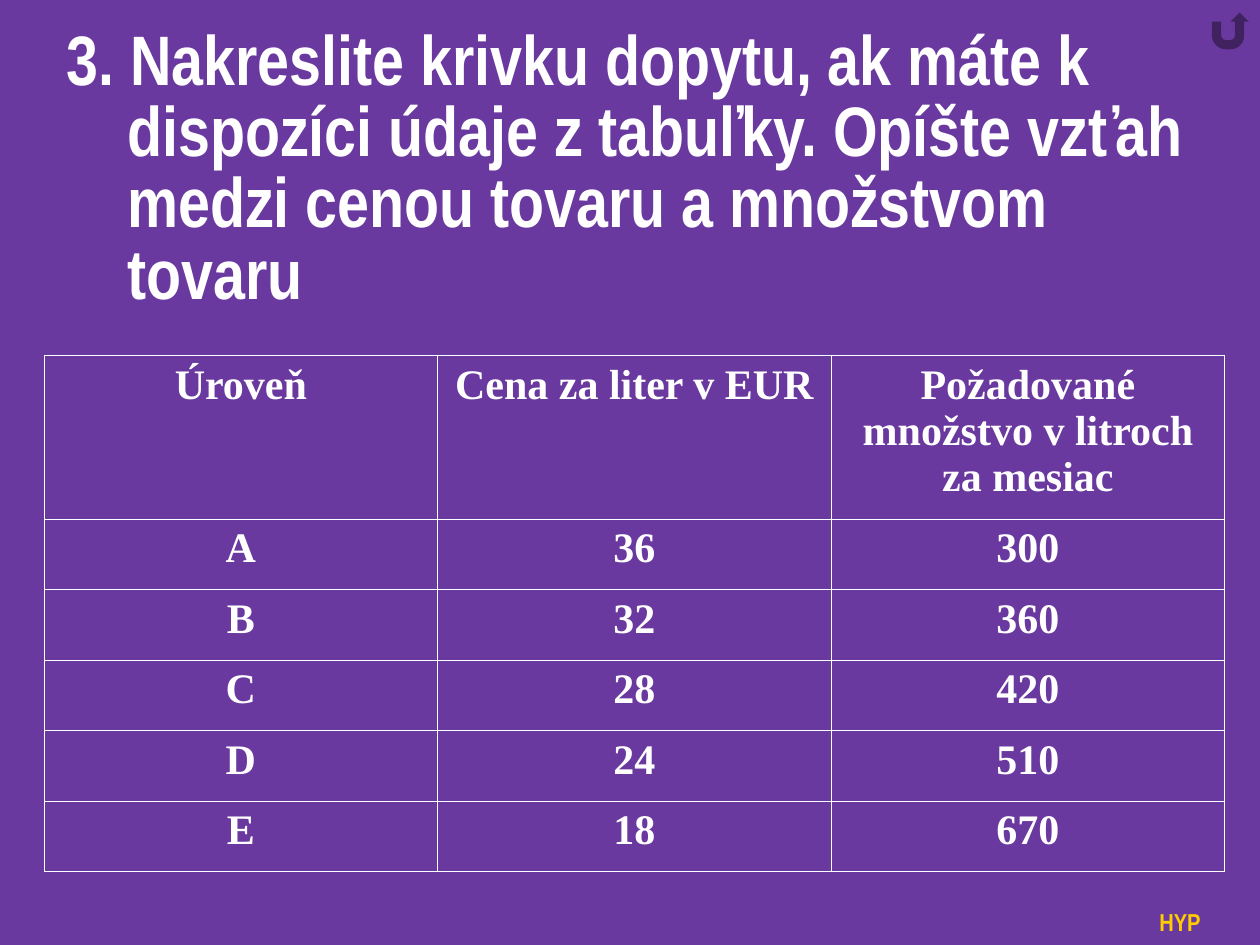
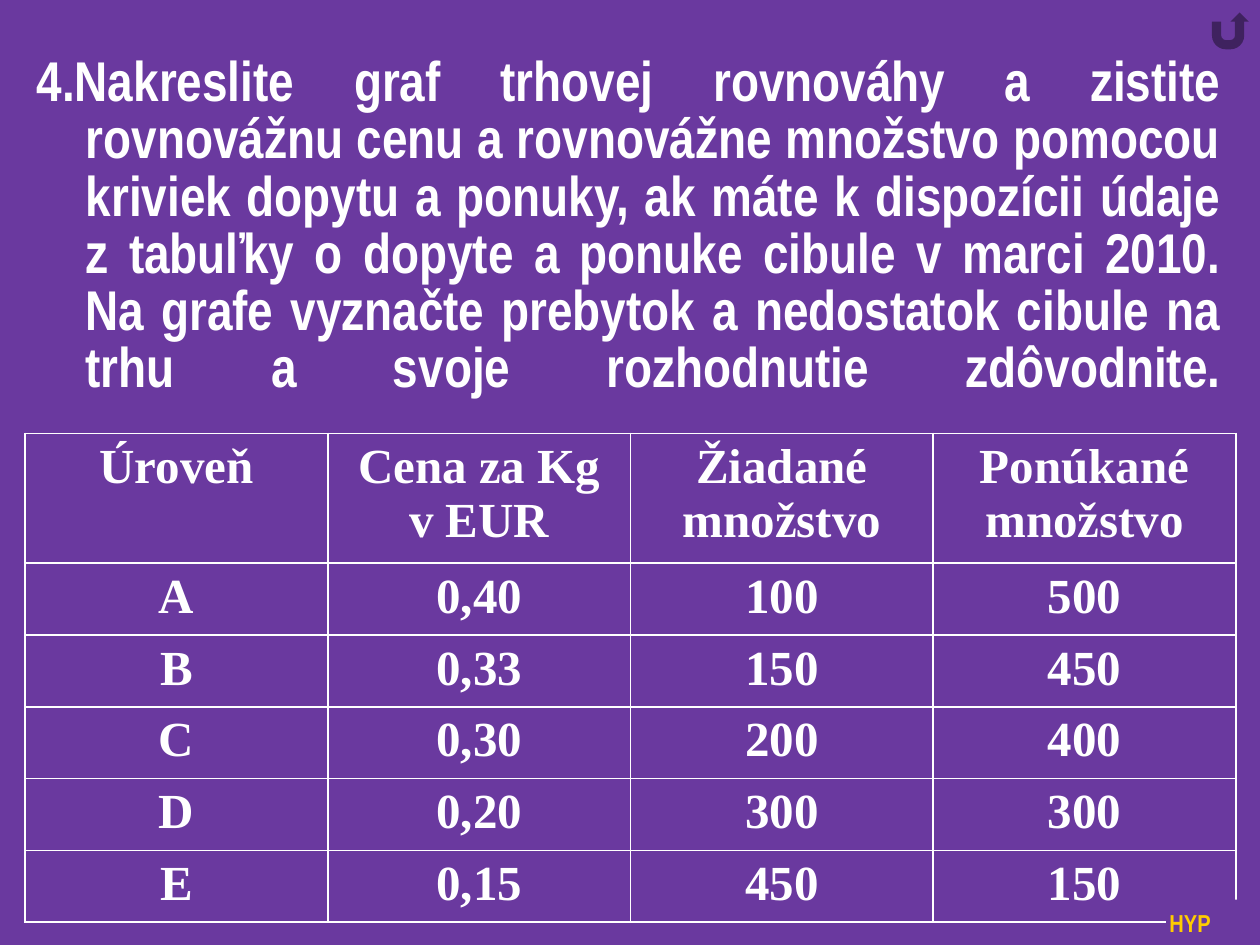
"""Build two exercise slides on demand and market equilibrium."""
from copy import deepcopy

from lxml.etree import SubElement
from pptx import Presentation
from pptx.dml.color import RGBColor
from pptx.enum.shapes import MSO_SHAPE
from pptx.enum.text import MSO_ANCHOR, MSO_AUTO_SIZE, PP_ALIGN
from pptx.oxml.ns import qn
from pptx.util import Inches, Pt

PURPLE = RGBColor(0x6A, 0x39, 0x9F)
WHITE = RGBColor(0xFF, 0xFF, 0xFF)
GOLD = RGBColor(0xFF, 0xCC, 0x00)
TITLE_FONT, TABLE_FONT = "Arial Narrow", "Times New Roman"
BUTTON = 0.39

SLIDES = [
    {
        "title": "3. Nakreslite krivku dopytu, ak máte k dispozíci údaje z tabuľky. "
                 "Opíšte vzťah medzi cenou tovaru a množstvom tovaru",
        "title_box": (0.43, 1.18, 9.21, 1.36), "title_size": 40,
        "align": PP_ALIGN.LEFT, "indent": (0.48, -0.48), "break": False,
        "rows": [
            ("Úroveň", "Cena za liter v EUR", "Požadované množstvo v litroch za mesiac"),
            ("A", "36", "300"),
            ("B", "32", "360"),
            ("C", "28", "420"),
            ("D", "24", "510"),
            ("E", "18", "670"),
        ],
        "table_at": (0.35, 2.82), "table_width": 9.37, "heights": (1.3, 0.56),
        "table_size": 24, "border": 0.45,
        "hyp_box": (9.17, 7.12, BUTTON, BUTTON), "corner_box": None,
    },
    {
        "title": "4.Nakreslite graf trhovej rovnováhy a zistite rovnovážnu cenu "
                 "a rovnovážne množstvo pomocou kriviek dopytu a ponuky, ak máte "
                 "k dispozícii údaje z tabuľky o dopyte a ponuke cibule v marci 2010. "
                 "Na grafe vyznačte prebytok a nedostatok cibule na trhu a svoje "
                 "rozhodnutie zdôvodnite.",
        "title_box": (0, 2.57, 9.8, 1.18), "title_size": 32,
        "align": PP_ALIGN.JUSTIFY, "indent": (0.58, -0.39), "break": True,
        "rows": [
            ("Úroveň", "Cena za Kg v EUR", "Žiadané množstvo", "Ponúkané množstvo"),
            ("A", "0,40", "100", "500"),
            ("B", "0,33", "150", "450"),
            ("C", "0,30", "200", "400"),
            ("D", "0,20", "300", "300"),
            ("E", "0,15", "450", "150"),
        ],
        "table_at": (0.2, 3.44), "table_width": 9.61, "heights": (1.03, 0.57),
        "table_size": 28, "border": 1.08,
        "hyp_box": (9.25, 7.14, BUTTON, 0.36), "corner_box": (9.61, 7.14, BUTTON, 0.36),
    },
]


def add_run(p, text, font, size, color):
    r = p.add_run()
    r.text = text
    r.font.name, r.font.size, r.font.bold = font, Pt(size), True
    r.font.color.rgb = color
    return r


def set_title(s, d):
    sp = s.shapes.title
    sp.left, sp.top, sp.width, sp.height = map(Inches, d["title_box"])
    tf = sp.text_frame
    tf.word_wrap, tf.auto_size = True, MSO_AUTO_SIZE.NONE
    tf.vertical_anchor = MSO_ANCHOR.BOTTOM
    p = tf.paragraphs[0]
    p.alignment, p.line_spacing, p.space_before = d["align"], 0.85, Pt(0)
    pPr = p._p.get_or_add_pPr()
    for key, value in zip(("marL", "indent"), d["indent"]):
        pPr.set(key, str(Inches(value)))
    r = add_run(p, d["title"], TITLE_FONT, d["title_size"], WHITE)
    if d["break"]:
        p.add_line_break()
        p._p.find(qn("a:br")).append(deepcopy(r._r.rPr))
        SubElement(p._p, qn("a:endParaRPr"), sz=str(d["title_size"] * 100))


def set_borders(cell, width):
    tcPr = cell._tc.get_or_add_tcPr()
    for i, side in enumerate(("lnL", "lnR", "lnT", "lnB")):
        ln = tcPr.makeelement(qn("a:" + side), {"w": str(Pt(width))})
        fill = SubElement(ln, qn("a:solidFill"))
        SubElement(fill, qn("a:srgbClr"), val=str(WHITE))
        tcPr.insert(i, ln)


def add_data_table(s, d):
    rows = d["rows"]
    head, body = d["heights"]
    heights = [head] + [body] * (len(rows) - 1)
    box = (*d["table_at"], d["table_width"], sum(heights))
    table = s.shapes.add_table(len(rows), len(rows[0]), *map(Inches, box)).table
    table.first_row = table.horz_banding = False
    for col in table.columns:
        col.width = Inches(d["table_width"] / len(rows[0]))
    for i, (row, height) in enumerate(zip(rows, heights)):
        table.rows[i].height = Inches(height)
        for j, text in enumerate(row):
            cell = table.cell(i, j)
            cell.fill.background()
            set_borders(cell, d["border"])
            p = cell.text_frame.paragraphs[0]
            p.alignment = PP_ALIGN.CENTER
            add_run(p, text, TABLE_FONT, d["table_size"], WHITE)


def add_button(s, kind, box, label=None):
    sp = s.shapes.add_shape(kind, *map(Inches, box))
    sp.shadow.inherit = False
    sp.fill.solid()
    sp.fill.fore_color.rgb = PURPLE
    sp.line.fill.background()
    if label:
        tf = sp.text_frame
        tf.word_wrap, tf.vertical_anchor = False, MSO_ANCHOR.MIDDLE
        p = tf.paragraphs[0]
        p.alignment = PP_ALIGN.CENTER
        add_run(p, label, TITLE_FONT, 14, GOLD)


def main():
    prs = Presentation()
    prs.slide_width, prs.slide_height = Inches(10), Inches(7.5)
    background = prs.slide_master.background.fill
    background.solid()
    background.fore_color.rgb = PURPLE
    for d in SLIDES:
        s = prs.slides.add_slide(prs.slide_layouts[5])
        set_title(s, d)
        add_data_table(s, d)
        add_button(s, MSO_SHAPE.ACTION_BUTTON_CUSTOM, d["hyp_box"], "HYP")
        add_button(s, MSO_SHAPE.ACTION_BUTTON_RETURN, (9.57, 0.05, BUTTON, BUTTON))
        if d["corner_box"]:
            add_button(s, MSO_SHAPE.RECTANGLE, d["corner_box"])
    prs.save("out.pptx")


if __name__ == "__main__":
    main()
